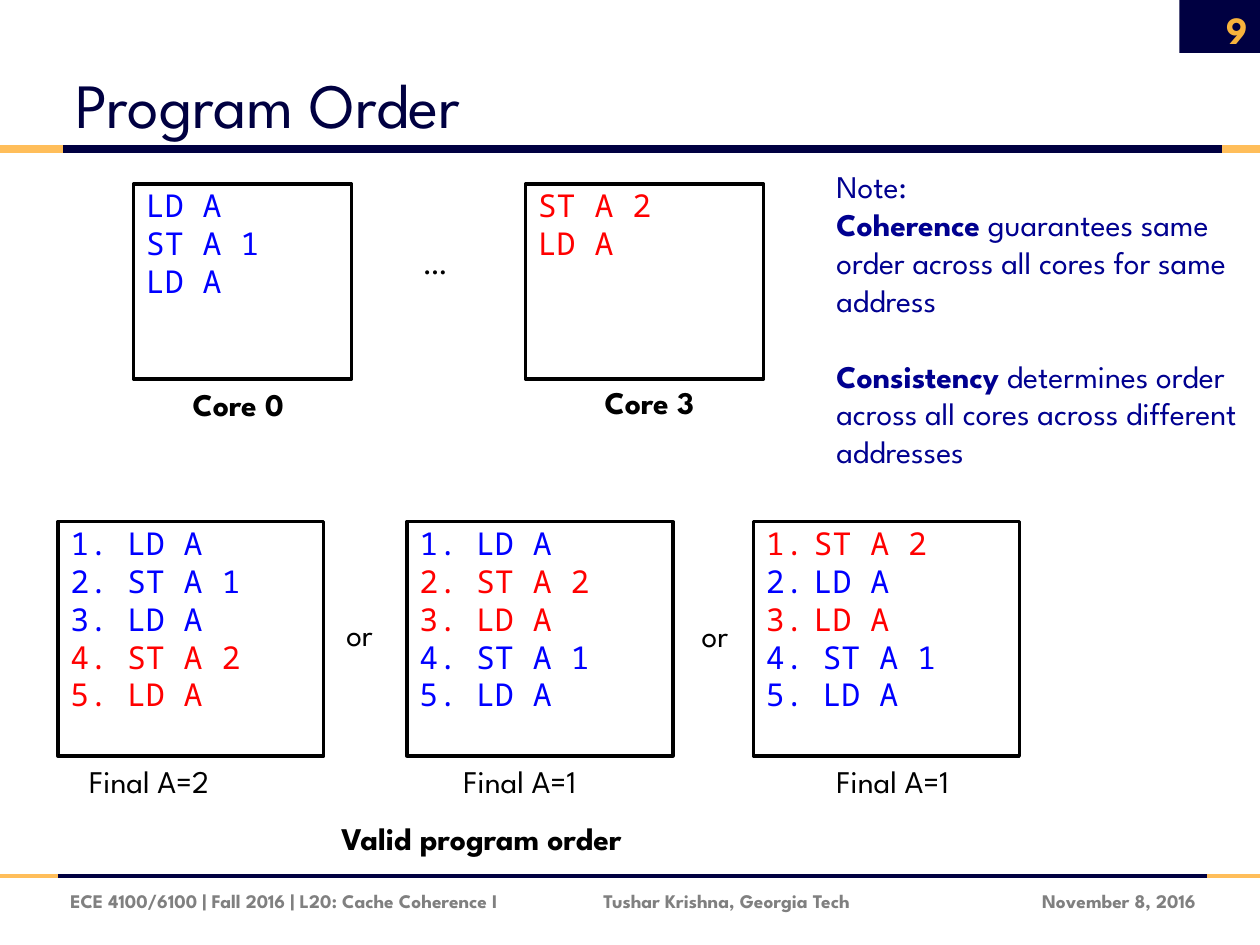
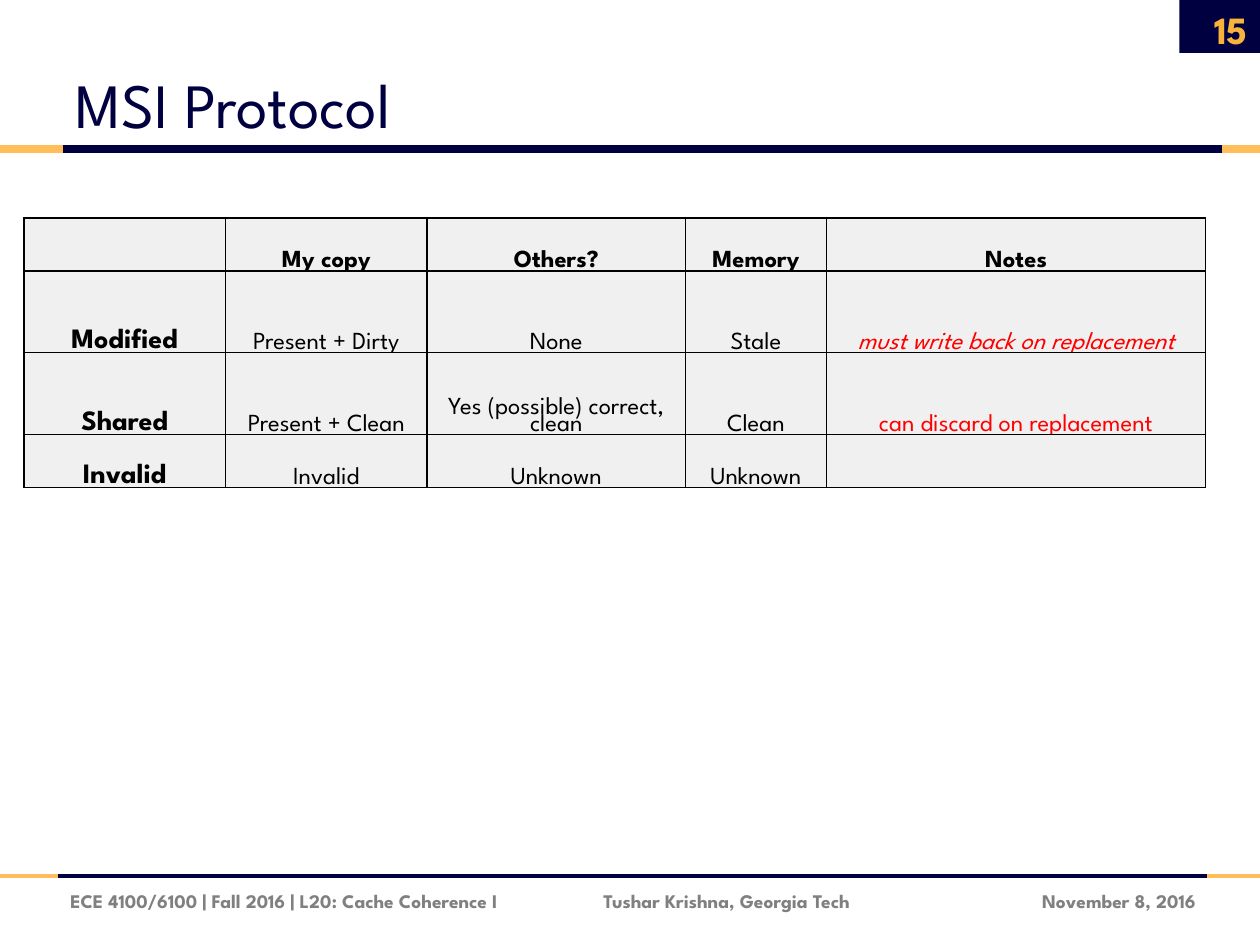
from dataclasses import dataclass

from lxml import etree
from pptx import Presentation
from pptx.dml.color import RGBColor
from pptx.enum.shapes import MSO_CONNECTOR, MSO_SHAPE
from pptx.enum.text import MSO_ANCHOR, PP_ALIGN
from pptx.oxml.ns import qn
from pptx.util import Inches, Pt

STRAIGHT = MSO_CONNECTOR.STRAIGHT
RECTANGLE = MSO_SHAPE.RECTANGLE
LEFT, CENTER, RIGHT = PP_ALIGN.LEFT, PP_ALIGN.CENTER, PP_ALIGN.RIGHT
TOP, MIDDLE, BOTTOM = MSO_ANCHOR.TOP, MSO_ANCHOR.MIDDLE, MSO_ANCHOR.BOTTOM


@dataclass(frozen=True)
class Theme:
    font: str = "League Spartan"
    code_font: str = "Noto Sans Mono"
    navy: str = "000041"
    gold: str = "FFBE5A"
    number_gold: str = "F8B33C"
    gray: str = "808080"
    cell: str = "F0F0F0"
    black: str = "000000"
    white: str = "FFFFFF"
    blue: str = "0000FF"
    red: str = "FF0000"
    note_blue: str = "000090"
    title_size: int = 36
    number_size: int = 22
    body_size: int = 18
    row_head_size: int = 16
    cell_size: int = 14
    footer_size: int = 11


THEME = Theme()


@dataclass(frozen=True)
class Style:
    size: int = THEME.body_size
    color: str = THEME.black
    bold: bool = False
    italic: bool = False
    font: str = THEME.font


@dataclass(frozen=True)
class Label:
    text: str
    left: float
    top: float
    width: float
    height: float = 0.4
    style: Style = Style()
    align: PP_ALIGN = LEFT
    anchor: MSO_ANCHOR = TOP


@dataclass(frozen=True)
class Rule:
    """A horizontal band: gold at both ends, navy between."""
    top: float
    navy_start: float
    navy_end: float
    weight: float


@dataclass(frozen=True)
class CodeBox:
    left: float
    top: float
    width: float
    height: float
    lines: tuple[tuple[str, str], ...]
    numbered: int = 0  # how many leading lines are numbered automatically


BOLD = Style(bold=True)
FOOTER = Style(THEME.footer_size, THEME.gray, bold=True)
TITLE = Style(THEME.title_size, THEME.navy)
NUMBER = Style(THEME.number_size, THEME.number_gold, bold=True)
CELL = Style(THEME.cell_size)
HEADER_CELL = Style(THEME.cell_size, bold=True)
ROW_HEAD = Style(THEME.row_head_size, bold=True)

SLIDE_WIDTH, SLIDE_HEIGHT = 10, 7.5
RULES = (Rule(1.18, 0.5, 9.7, 4.5), Rule(6.95, 0.46, 9.58, 2.25))
FOOTERS = (
    Label("November 8, 2016", 7.67, 6.95, 1.92, style=FOOTER, align=RIGHT, anchor=MIDDLE),
    Label("ECE 4100/6100 | Fall 2016 | L20: Cache Coherence I", 0.46, 6.95, 4.2,
          style=FOOTER, anchor=MIDDLE),
    Label("Tushar Krishna, Georgia Tech", 4.69, 6.95, 2.9, style=FOOTER, anchor=MIDDLE),
)

CORE_TOP, CORE_HEIGHT = 1.46, 1.55
ORDER_TOP, ORDER_WIDTH, ORDER_HEIGHT = 4.14, 2.11, 1.86
BLUE, RED = THEME.blue, THEME.red
CODE_BOXES = (
    CodeBox(1.06, CORE_TOP, 1.73, CORE_HEIGHT,
            (("LD A", BLUE), ("ST A 1", BLUE), ("LD A", BLUE))),
    CodeBox(4.17, CORE_TOP, 1.89, CORE_HEIGHT, (("ST A 2", RED), ("LD A", RED))),
    CodeBox(0.46, ORDER_TOP, ORDER_WIDTH, ORDER_HEIGHT,
            (("1. LD A", BLUE), ("2. ST A 1", BLUE), ("3. LD A", BLUE),
             ("4. ST A 2", RED), ("5. LD A", RED))),
    CodeBox(3.23, ORDER_TOP, ORDER_WIDTH, ORDER_HEIGHT,
            (("1. LD A", BLUE), ("2. ST A 2", RED), ("3. LD A", RED),
             ("4. ST A 1", BLUE), ("5. LD A", BLUE))),
    CodeBox(5.98, ORDER_TOP, ORDER_WIDTH, ORDER_HEIGHT,
            (("ST A 2", RED), ("LD A", BLUE), ("LD A", RED),
             ("4. ST A 1", BLUE), ("5. LD A", BLUE)), numbered=3),
)
ORDER_LABELS = (
    Label("Core 0", 1.43, 3.01, 1.36, style=BOLD),
    Label("Core 3", 4.7, 2.99, 1.36, style=BOLD),
    Label("…", 3.26, 1.88, 0.81),
    Label("or", 2.65, 4.83, 0.5),
    Label("or", 5.47, 4.84, 0.5),
    Label("Final A=2", 0.61, 6, 1.97),
    Label("Final A=1", 3.58, 6, 1.79),
    Label("Final A=1", 6.54, 6, 1.42),
    Label("Valid program order", 2.61, 6.45, 2.77, style=BOLD),
)
NOTE_LINES = (
    ("", "Note:"),
    ("Coherence", " guarantees same order across all cores for same address"),
    ("Consistency", " determines order across all cores across different addresses"),
)
NOTE_GAP = 21.7

COLUMN_WIDTHS = (1.6, 1.6, 2.05, 1.12, 3.01)
ROW_HEIGHTS = (0.42, 0.65, 0.65, 0.42)
STATES = (
    ("", "My copy", "Others?", "Memory", "Notes"),
    ("Modified", "Present + Dirty", "None", "Stale", "must write back on replacement"),
    ("Shared", "Present + Clean", "Yes (possible) correct, clean", "Clean",
     "can discard on replacement"),
    ("Invalid", "Invalid", "Unknown", "Unknown", ""),
)
NOTE_STYLES = {
    (1, 4): Style(THEME.cell_size, THEME.red, italic=True),
    (2, 4): Style(THEME.cell_size, THEME.red),
}


def rgb(color: str) -> RGBColor:
    return RGBColor.from_string(color)


def format_font(font, style: Style) -> None:
    font.name = style.font
    font.size = Pt(style.size)
    font.bold = style.bold
    font.italic = style.italic
    font.color.rgb = rgb(style.color)


def format_paragraph(paragraph, style: Style, align: PP_ALIGN = LEFT) -> None:
    paragraph.alignment = align
    for run in paragraph.runs:
        format_font(run.font, style)


def add_text_box(slide, left: float, top: float, width: float, height: float):
    box = slide.shapes.add_textbox(Inches(left), Inches(top), Inches(width), Inches(height))
    box.text_frame.word_wrap = True
    return box.text_frame


def add_label(slide, label: Label) -> None:
    frame = add_text_box(slide, label.left, label.top, label.width, label.height)
    frame.vertical_anchor = label.anchor
    frame.text = label.text
    format_paragraph(frame.paragraphs[0], label.style, label.align)


def add_line(slide, start: float, end: float, top: float, color: str, weight: float) -> None:
    line = slide.shapes.add_connector(
        STRAIGHT, Inches(start), Inches(top), Inches(end), Inches(top))
    line.line.color.rgb = rgb(color)
    line.line.width = Pt(weight)
    etree.SubElement(line._element.spPr, qn("a:effectLst"))


def add_rectangle(slide, left: float, top: float, width: float, height: float, fill: str):
    shape = slide.shapes.add_shape(
        RECTANGLE, Inches(left), Inches(top), Inches(width), Inches(height))
    shape.shadow.inherit = False
    shape.fill.solid()
    shape.fill.fore_color.rgb = rgb(fill)
    shape.line.fill.background()
    return shape


def add_base_slide(presentation, title: str, number: int):
    """Add a blank slide with the shared corner, rules, footers and title."""
    slide = presentation.slides.add_slide(presentation.slide_layouts[6])
    add_rectangle(slide, 9.36, 0, 0.64, 0.42, THEME.navy)
    for rule in RULES:
        add_line(slide, rule.navy_start, rule.navy_end, rule.top, THEME.navy, rule.weight)
        for start, end in ((0, rule.navy_start), (rule.navy_end, SLIDE_WIDTH)):
            add_line(slide, start, end, rule.top, THEME.gold, rule.weight)
    add_label(slide, Label(title, 0.5, 0.17, 8.18, 1, TITLE, anchor=BOTTOM))
    for footer in FOOTERS:
        add_label(slide, footer)
    add_label(slide, Label(str(number), 9.34, 0.03, 0.66, 0.4, NUMBER, RIGHT, MIDDLE))
    return slide


def number_paragraph(paragraph) -> None:
    properties = paragraph._p.get_or_add_pPr()
    properties.set("marL", str(Inches(0.38)))
    properties.set("indent", str(Inches(-0.38)))
    etree.SubElement(properties, qn("a:buAutoNum"), type="arabicPeriod")


def add_code_box(slide, box: CodeBox) -> None:
    shape = add_rectangle(slide, box.left, box.top, box.width, box.height, THEME.white)
    shape.line.color.rgb = rgb(THEME.black)
    shape.line.width = Pt(2)
    frame = shape.text_frame
    frame.vertical_anchor = TOP
    frame.margin_top = Inches(0.02)
    frame.text = "\n".join(text for text, _ in box.lines)
    for index, (paragraph, (_, color)) in enumerate(zip(frame.paragraphs, box.lines)):
        format_paragraph(paragraph, Style(color=color, font=THEME.code_font))
        if index < box.numbered:
            number_paragraph(paragraph)


def add_note(slide) -> None:
    frame = add_text_box(slide, 6.54, 1.28, 3.46, 2.52)
    for index, (term, rest) in enumerate(NOTE_LINES):
        paragraph = frame.add_paragraph() if index else frame.paragraphs[0]
        for text, bold in ((term, True), (rest, False)):
            if text:
                run = paragraph.add_run()
                run.text = text
                format_font(run.font, Style(color=THEME.note_blue, bold=bold))
    frame.paragraphs[-1].space_before = Pt(NOTE_GAP)


def add_borders(cell) -> None:
    properties = cell._tc.get_or_add_tcPr()
    for index, side in enumerate(("lnL", "lnR", "lnT", "lnB")):
        border = etree.Element(qn(f"a:{side}"), w=str(Pt(1)))
        fill = etree.SubElement(border, qn("a:solidFill"))
        etree.SubElement(fill, qn("a:srgbClr"), val=THEME.black)
        properties.insert(index, border)


def cell_style(row: int, column: int) -> Style:
    if row == 0:
        return HEADER_CELL
    if column == 0:
        return ROW_HEAD
    return NOTE_STYLES.get((row, column), CELL)


def add_state_table(slide) -> None:
    table = slide.shapes.add_table(
        len(ROW_HEIGHTS), len(COLUMN_WIDTHS), Inches(0.19), Inches(1.73),
        Inches(sum(COLUMN_WIDTHS)), Inches(sum(ROW_HEIGHTS))).table
    for column, width in zip(table.columns, COLUMN_WIDTHS):
        column.width = Inches(width)
    for row, height in zip(table.rows, ROW_HEIGHTS):
        row.height = Inches(height)
    for row, texts in enumerate(STATES):
        for column, text in enumerate(texts):
            cell = table.cell(row, column)
            cell.fill.solid()
            cell.fill.fore_color.rgb = rgb(THEME.cell)
            cell.margin_left = cell.margin_right = cell.margin_top = Inches(0.01)
            cell.margin_bottom = 0
            cell.vertical_anchor = BOTTOM
            cell.text = text
            paragraph = cell.text_frame.paragraphs[0]
            paragraph.line_spacing = 0.75
            format_paragraph(paragraph, cell_style(row, column), CENTER)
            add_borders(cell)


def main() -> None:
    presentation = Presentation()
    presentation.slide_width = Inches(SLIDE_WIDTH)
    presentation.slide_height = Inches(SLIDE_HEIGHT)

    order_slide = add_base_slide(presentation, "Program Order", 9)
    for box in CODE_BOXES:
        add_code_box(order_slide, box)
    for label in ORDER_LABELS:
        add_label(order_slide, label)
    add_note(order_slide)

    protocol_slide = add_base_slide(presentation, "MSI Protocol", 15)
    add_state_table(protocol_slide)

    presentation.save("out.pptx")


if __name__ == "__main__":
    main()
